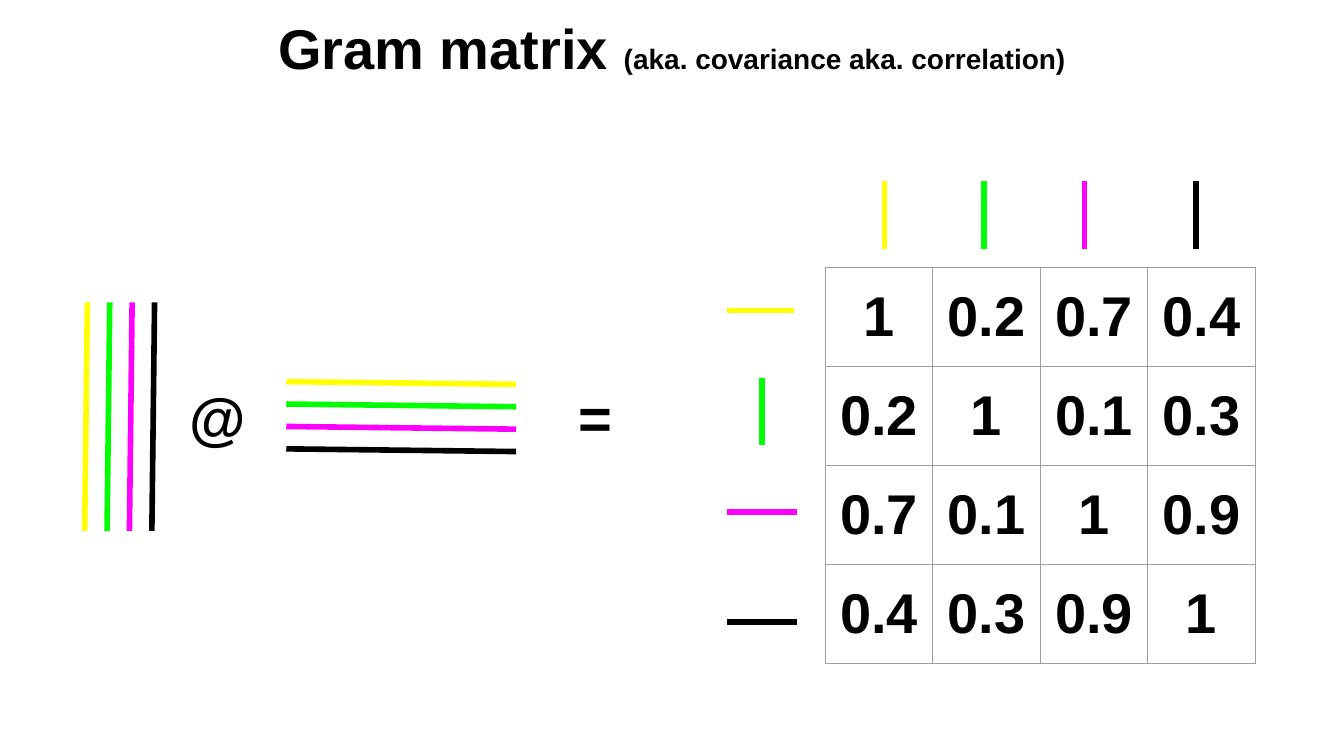
from lxml.etree import SubElement as Sub
from pptx import Presentation
from pptx.dml.color import RGBColor
from pptx.enum.shapes import MSO_CONNECTOR as Conn
from pptx.enum.text import MSO_ANCHOR as Anchor, PP_ALIGN as Align
from pptx.oxml.ns import qn
from pptx.util import Inches, Pt

BLACK = RGBColor(0, 0, 0)
WHITE = RGBColor(255, 255, 255)
YELLOW = RGBColor(255, 255, 0)
GREEN = RGBColor(0, 255, 0)
PINK = RGBColor(255, 0, 255)
GREY = RGBColor(0x9E, 0x9E, 0x9E)
HUES = [YELLOW, GREEN, PINK, BLACK]
PAD = Inches(0.1)


def write(frame, text, size=30, align=Align.CENTER):
    frame.word_wrap = True
    frame.vertical_anchor = Anchor.TOP
    frame.margin_left = frame.margin_right = PAD
    frame.margin_top = frame.margin_bottom = PAD
    para = frame.paragraphs[0]
    para.alignment = align
    run = para.add_run()
    run.text = text
    font = run.font
    font.name, font.size, font.bold = "Arial", Pt(size), True
    font.color.rgb = BLACK


def draw(x1, y1, x2, y2, hue):
    ends = [Inches(v) for v in (x1, y1, x2, y2)]
    line = slide.shapes.add_connector(Conn.STRAIGHT, *ends)
    line.line.color.rgb = hue
    line.line.width = Pt(3)
    Sub(line._element.spPr, qn("a:effectLst"))


deck = Presentation()
deck.slide_width = Inches(10)
deck.slide_height = deck.slide_width * 9 // 16
slide = deck.slides.add_slide(deck.slide_layouts[5])

title = slide.shapes.title
title.left, title.top = Inches(0), Inches(0)
title.width, title.height = Inches(10), Inches(0.71)
write(title.text_frame, "Gram matrix ")
write(title.text_frame, "(aka. covariance aka. correlation)", size=15)

for i, hue in enumerate(HUES):
    x = 0.65 + i / 6
    draw(x, 2.25, x - 0.02, 3.95, hue)
for i, hue in enumerate(HUES):
    y = 2.84 + i / 6
    draw(3.84, y + 0.02, 2.13, y, hue)

for sign, x in [("@", 1.31), ("=", 4.21)]:
    box = slide.shapes.add_textbox(Inches(x), Inches(2.74), Inches(0.67), Inches(0.72))
    write(box.text_frame, sign, size=31, align=Align.LEFT)

for x, hue in zip([6.58, 7.32, 8.07, 8.9], HUES):
    draw(x, 1.35, x, 1.85, hue)

ROWS = [
    ["1", "0.2", "0.7", "0.4"],
    ["0.2", "1", "0.1", "0.3"],
    ["0.7", "0.1", "1", "0.9"],
    ["0.4", "0.3", "0.9", "1"],
]
grid = slide.shapes.add_table(
    4, 4, Inches(6.14), Inches(1.99), Inches(3.2), Inches(2.95)
).table
grid.first_row = grid.horz_banding = False
for row, vals in zip(grid.rows, ROWS):
    for cell, val in zip(row.cells, vals):
        write(cell.text_frame, val)
        cell.margin_left = cell.margin_right = PAD
        cell.margin_top = cell.margin_bottom = PAD
        cell.vertical_anchor = Anchor.MIDDLE
        props = cell._tc.get_or_add_tcPr()
        for side in ("lnL", "lnR", "lnT", "lnB"):
            edge = Sub(props, qn("a:" + side), w=str(Pt(0.75)))
            fill = Sub(edge, qn("a:solidFill"))
            Sub(fill, qn("a:srgbClr"), val=str(GREY))
        cell.fill.solid()
        cell.fill.fore_color.rgb = WHITE

draw(5.91, 2.31, 5.41, 2.31, YELLOW)
draw(5.67, 2.81, 5.67, 3.31, GREEN)
draw(5.93, 3.81, 5.41, 3.81, PINK)
draw(5.93, 4.63, 5.41, 4.63, BLACK)

deck.save("out.pptx")
